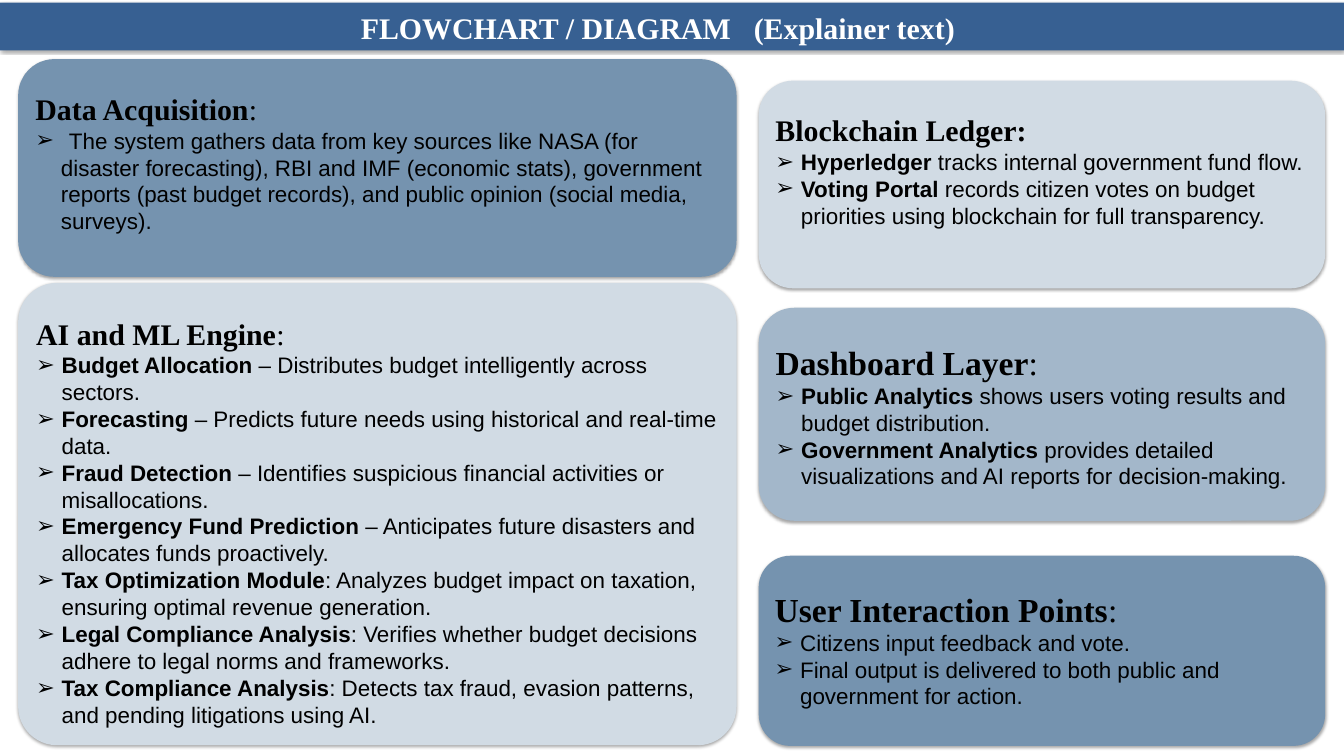
from typing import NamedTuple

from lxml import etree
from pptx import Presentation
from pptx.dml.color import RGBColor
from pptx.enum.shapes import MSO_SHAPE
from pptx.enum.text import MSO_ANCHOR, PP_ALIGN
from pptx.oxml.ns import qn
from pptx.util import Inches, Pt

RECTANGLE = MSO_SHAPE.RECTANGLE
ROUNDED = MSO_SHAPE.ROUNDED_RECTANGLE
TOP = MSO_ANCHOR.TOP
LEFT, CENTER = PP_ALIGN.LEFT, PP_ALIGN.CENTER

WIDTH, HEIGHT = Inches(20), Inches(11.25)
BANNER, STEEL, MIST, SKY = "376092", "7593AF", "D1DBE4", "A3B7CA"
BLACK, WHITE = "000000", "FFFFFF"
SERIF, SANS = "Times New Roman", "Arial"
INDENT = Inches(0.38)


class Area(NamedTuple):
    """Left, top, width and height as percentages of the slide."""
    left: float
    top: float
    width: float
    height: float


class Column(NamedTuple):
    left: float
    width: float


class Item(NamedTuple):
    term: str
    detail: str


class Panel(NamedTuple):
    column: Column
    top: float
    height: float
    fill: str
    heading: Item
    heading_size: int
    items: list[Item]
    corner: float = 0.1667


WIDE = Column(1.35, 53.45)
NARROW = Column(56.45, 42.15)

PANELS = [
    Panel(WIDE, 7.82, 28.8, STEEL, Item("Data Acquisition", ":"), 32, [
        Item("", "\tThe system gathers data from key sources like NASA (for disaster "
             "forecasting), RBI and IMF (economic stats), government reports (past "
             "budget records), and public opinion (social media, surveys)."),
    ]),
    Panel(NARROW, 10.67, 27.47, MIST, Item("Blockchain Ledger:", ""), 32, [
        Item("Hyperledger", " tracks internal government fund flow."),
        Item("Voting Portal", " records citizen votes on budget priorities using "
             "blockchain for full transparency."),
    ]),
    Panel(WIDE, 37.42, 61.16, MIST, Item("AI and ML Engine", ":"), 32, [
        Item("Budget Allocation", " – Distributes budget intelligently across sectors."),
        Item("Forecasting", " – Predicts future needs using historical and real-time data."),
        Item("Fraud Detection", " – Identifies suspicious financial activities or "
             "misallocations."),
        Item("Emergency Fund Prediction", " – Anticipates future disasters and allocates "
             "funds proactively."),
        Item("Tax Optimization Module", ": Analyzes budget impact on taxation, ensuring "
             "optimal revenue generation."),
        Item("Legal Compliance Analysis", ": Verifies whether budget decisions adhere to "
             "legal norms and frameworks."),
        Item("Tax Compliance Analysis", ": Detects tax fraud, evasion patterns, and "
             "pending litigations using AI."),
    ], 0.084),
    Panel(NARROW, 73.51, 25.16, STEEL, Item("User Interaction Points", ":"), 36, [
        Item("", "Citizens input feedback and vote."),
        Item("", "Final output is delivered to both public and government for action."),
    ]),
    Panel(NARROW, 40.71, 28.18, SKY, Item("Dashboard Layer", ":"), 36, [
        Item("Public Analytics", " shows users voting results and budget distribution."),
        Item("Government Analytics", " provides detailed visualizations and AI reports "
             "for decision-making."),
    ]),
]


def color(value: str) -> RGBColor:
    return RGBColor.from_string(value)


def place(area: Area) -> tuple[int, int, int, int]:
    return (int(WIDTH * area.left / 100), int(HEIGHT * area.top / 100),
            int(WIDTH * area.width / 100), int(HEIGHT * area.height / 100))


def add_shadow(shape) -> None:
    """Give the shape a soft shadow straight below it."""
    shape.shadow.inherit = False
    effects = shape._element.spPr.find(qn("a:effectLst"))
    shadow = etree.SubElement(effects, qn("a:outerShdw"), blurRad=str(Pt(3.1)),
                              dist=str(Pt(1.8)), dir="5400000", rotWithShape="0")
    tint = etree.SubElement(shadow, qn("a:srgbClr"), val=BLACK)
    etree.SubElement(tint, qn("a:alpha"), val="35000")


def add_block(page, kind, area: Area, fill: str):
    shape = page.shapes.add_shape(kind, *place(area))
    shape.fill.solid()
    shape.fill.fore_color.rgb = color(fill)
    shape.line.fill.background()
    add_shadow(shape)
    return shape


def add_span(para, text: str, ink: str, **formats):
    span = para.add_run()
    span.text = text
    span.font.color.rgb = color(ink)
    for name, value in formats.items():
        setattr(span.font, name, value)
    return span


def add_item(para, item: Item, font: str, size: int) -> None:
    """Write the bold term, then the plain detail."""
    for text, bold in ((item.term, True), (item.detail, False)):
        if text:
            add_span(para, text, BLACK, name=font, size=Pt(size), bold=bold)


def add_bullet(para) -> None:
    properties = para._p.get_or_add_pPr()
    properties.set("marL", str(INDENT))
    properties.set("indent", str(-INDENT))
    etree.SubElement(properties, qn("a:buFont"), typeface=SANS)
    etree.SubElement(properties, qn("a:buChar"), char="➢")


def draw_panel(page, panel: Panel) -> None:
    area = Area(panel.column.left, panel.top, panel.column.width, panel.height)
    shape = add_block(page, ROUNDED, area, panel.fill)
    shape.adjustments[0] = panel.corner
    box = shape.text_frame
    box.word_wrap = True
    box.vertical_anchor = TOP

    # Heading
    para = box.paragraphs[0]
    para.alignment = LEFT
    para.line_spacing = 1.5
    add_item(para, panel.heading, SERIF, panel.heading_size)

    # Bulleted explanations
    for item in panel.items:
        para = box.add_paragraph()
        para.alignment = LEFT
        add_bullet(para)
        add_item(para, item, SANS, 24)


def draw_title(page) -> None:
    add_block(page, RECTANGLE, Area(0, 0.36, 100, 6.31), BANNER)
    box = page.shapes.add_textbox(*place(Area(21.15, 0.36, 55.6, 11.02))).text_frame
    box.word_wrap = True
    para = box.paragraphs[0]
    para.alignment = CENTER
    para.line_spacing = 1.1
    formats = {"name": SERIF, "size": Pt(32), "bold": True}
    add_span(para, "FLOWCHART / DIAGRAM", WHITE, **formats)
    gap = add_span(para, " ", WHITE, **formats)
    gap.font._element.set("spc", "1600")  # widen the gap before the bracket
    add_span(para, "(Explainer text)", WHITE, **formats)


def main() -> None:
    deck = Presentation()
    deck.slide_width, deck.slide_height = WIDTH, HEIGHT
    page = deck.slides.add_slide(deck.slide_layouts[6])
    draw_title(page)
    for panel in PANELS:
        draw_panel(page, panel)
    deck.save("out.pptx")


if __name__ == "__main__":
    main()
